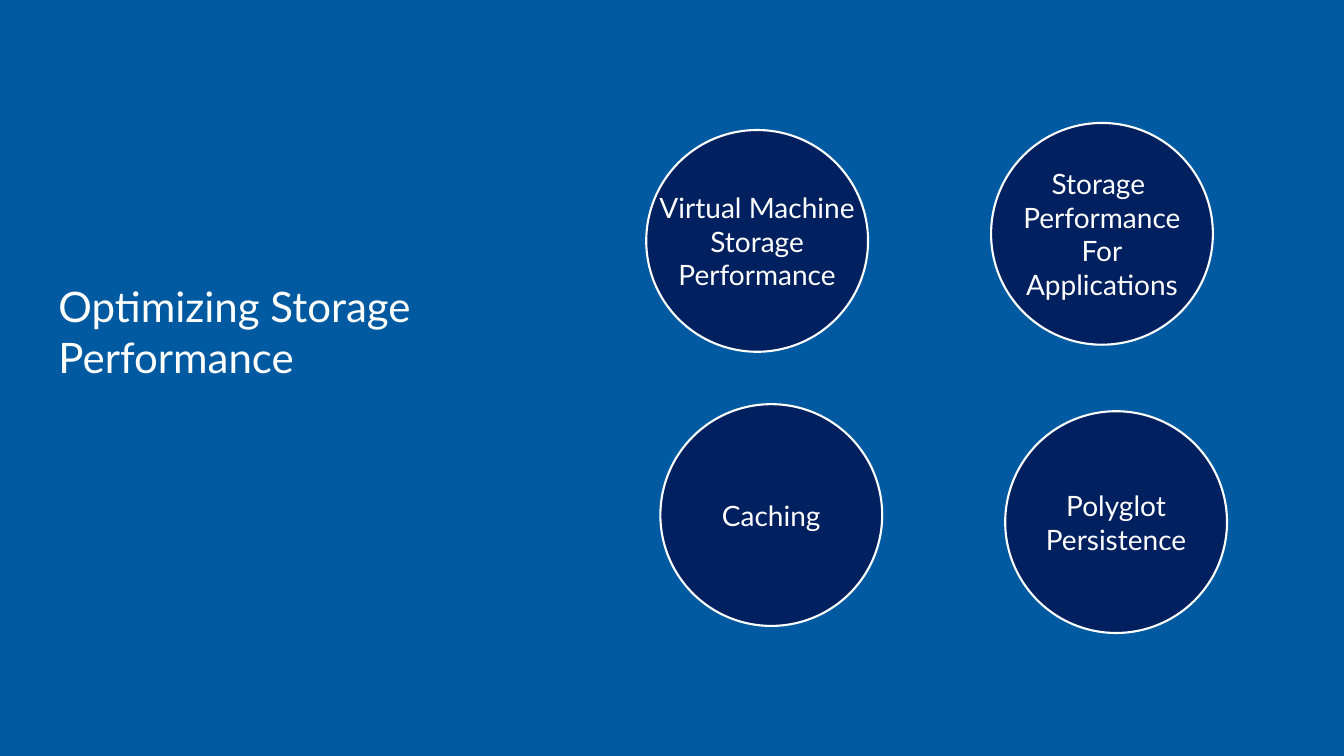
from dataclasses import dataclass

from pptx import Presentation
from pptx.dml.color import RGBColor
from pptx.enum.shapes import MSO_SHAPE
from pptx.enum.text import MSO_ANCHOR, MSO_AUTO_SIZE, PP_ALIGN
from pptx.util import Inches, Pt

# Content: each row has its left, its top, the drop of its second circle, and its topics
TITLE = "Optimizing Storage Performance"
ROWS = [
    (6.41, 1.29, -0.07, [
        ["Virtual Machine", "Storage", "Performance"],
        ["Storage ", "Performance", "For", "Applications"],
    ]),
    (6.55, 4.01, 0.07, [
        ["Caching"],
        ["Polyglot", "Persistence"],
    ]),
]
DIAMETER = 2.2
COLUMN_STEP = 3.42


@dataclass(frozen=True)
class Theme:
    background: RGBColor = RGBColor(0x00, 0x5A, 0xA1)
    circle: RGBColor = RGBColor(0x00, 0x20, 0x60)
    light: RGBColor = RGBColor(0xFF, 0xFF, 0xFF)
    font: str = "Lato"
    title_size: int = 30
    topic_size: int = 20
    outline: float = 1.5


THEME = Theme()


def write_line(para, text, size, align):
    para.alignment = align
    span = para.add_run()
    span.text = text
    span.font.name = THEME.font
    span.font.size = Pt(size)
    span.font.color.rgb = THEME.light


def add_title(page):
    box = page.shapes.title
    box.left, box.top = Inches(0.48), Inches(2.73)
    box.width, box.height = Inches(5.36), Inches(1.11)
    frame = box.text_frame
    frame.word_wrap = True
    frame.auto_size = MSO_AUTO_SIZE.NONE
    frame.vertical_anchor = MSO_ANCHOR.MIDDLE
    write_line(frame.paragraphs[0], TITLE, THEME.title_size, PP_ALIGN.LEFT)


def add_circle(page, left, top, lines):
    circle = page.shapes.add_shape(
        MSO_SHAPE.OVAL, Inches(left), Inches(top), Inches(DIAMETER), Inches(DIAMETER))
    circle.shadow.inherit = False
    circle.fill.solid()
    circle.fill.fore_color.rgb = THEME.circle
    circle.line.color.rgb = THEME.light
    circle.line.width = Pt(THEME.outline)
    frame = circle.text_frame
    frame.word_wrap = False
    frame.vertical_anchor = MSO_ANCHOR.MIDDLE
    frame.margin_left = frame.margin_right = 0
    frame.margin_top = frame.margin_bottom = 0
    for index, line in enumerate(lines):
        para = frame.add_paragraph() if index else frame.paragraphs[0]
        write_line(para, line, THEME.topic_size, PP_ALIGN.CENTER)


def main():
    deck = Presentation()
    deck.slide_width, deck.slide_height = Inches(13.33), Inches(7.5)
    page = deck.slides.add_slide(deck.slide_layouts[5])

    # Background and title
    page.background.fill.solid()
    page.background.fill.fore_color.rgb = THEME.background
    add_title(page)

    # Topic circles
    for left, top, drop, topics in ROWS:
        for column, lines in enumerate(topics):
            add_circle(page, left + column * COLUMN_STEP, top + column * drop, lines)

    deck.save("out.pptx")


if __name__ == "__main__":
    main()
